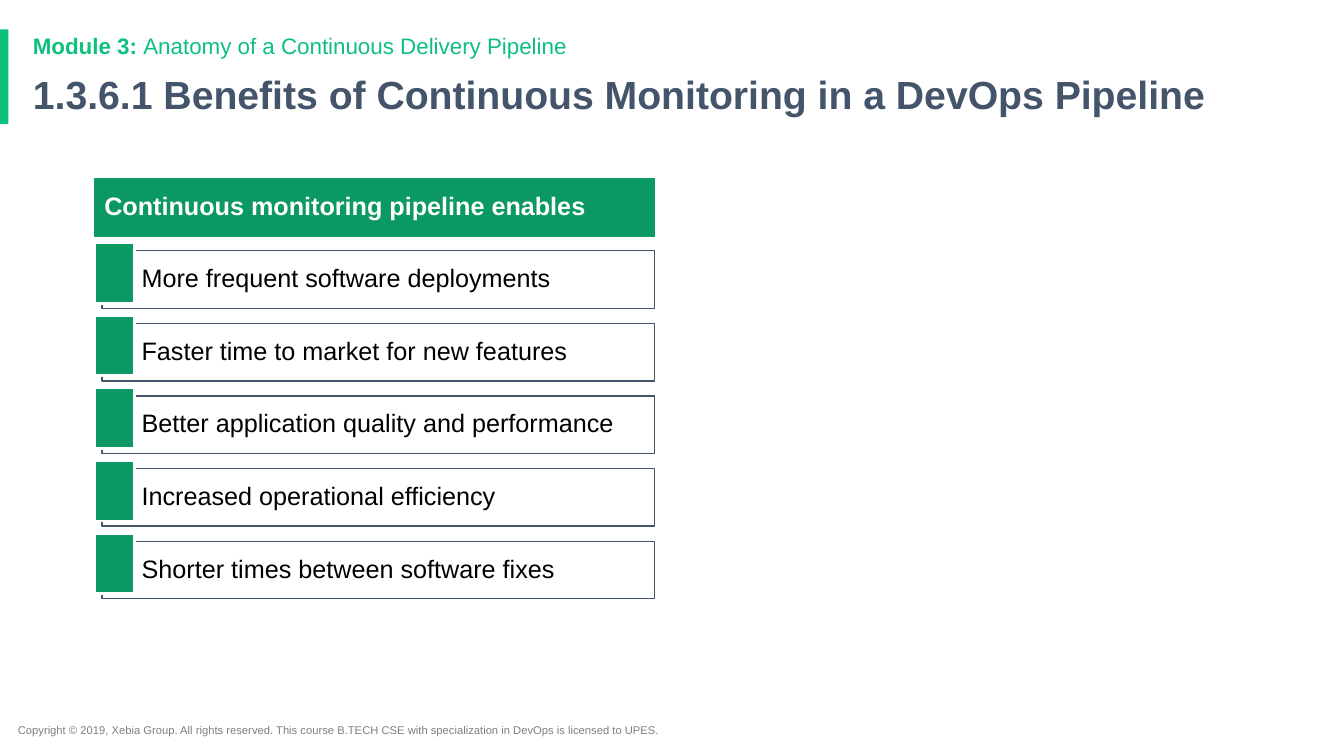
from lxml.etree import SubElement
from pptx import Presentation
from pptx.dml.color import RGBColor
from pptx.enum.shapes import MSO_SHAPE as Shape
from pptx.enum.text import MSO_ANCHOR as Anchor, PP_ALIGN as Align
from pptx.oxml.ns import qn
from pptx.util import Cm, Pt

MODULE = [("Module 3: ", True), ("Anatomy of a Continuous Delivery Pipeline", False)]
TITLE = [("1.3.6.1 Benefits of Continuous Monitoring in a DevOps Pipeline", True)]
HEADING = [("Continuous monitoring pipeline enables", True)]
BENEFITS = [
    "More frequent software deployments",
    "Faster time to market for new features",
    "Better application quality and performance",
    "Increased operational efficiency",
    "Shorter times between software fixes",
]
COPYRIGHT = [("Copyright © 2019, Xebia Group. All rights reserved. This course "
              "B.TECH CSE with specialization in DevOps is licensed to UPES.", False)]

FONT = "Arial"
MINT, GREEN, SLATE = "0EC07D", "0B9963", "44546A"
WHITE, BLACK, GREY = "FFFFFF", "000000", "7F7F7F"

LIST_LEFT, LIST_RIGHT, LIST_TOP = 2.38, 16.49, 4.5
BAR_HEIGHT, ROW_PITCH = 1.45, 1.83
ROW_LEFT, FIRST_ROW_TOP = 2.57, 6.32
MARKER_WIDTH, MARKER_HEIGHT, MARKER_RISE = 1.02, 1.52, 0.2


def color(value):
    return RGBColor.from_string(value)


def write(shape, runs, size, ink, spacing=0.9, left=0.25, right=0.25):
    frame = shape.text_frame
    frame.word_wrap = True
    frame.vertical_anchor = Anchor.MIDDLE
    frame.margin_left, frame.margin_right = Cm(left), Cm(right)
    frame.margin_top = frame.margin_bottom = Cm(0.13)
    para = frame.paragraphs[0]
    para.alignment = Align.LEFT
    para.line_spacing = spacing
    para.space_before = Pt(0)
    for text, bold in runs:
        span = para.add_run()
        span.text = text
        span.font.name, span.font.size, span.font.bold = FONT, Pt(size), bold
        span.font.color.rgb = color(ink)


def add_bar(page, left, top, width, height, fill, line=None, weight=1):
    bar = page.shapes.add_shape(Shape.RECTANGLE, Cm(left), Cm(top), Cm(width), Cm(height))
    bar.shadow.inherit = False
    bar.fill.solid()
    bar.fill.fore_color.rgb = color(fill)
    if line:
        bar.line.color.rgb = color(line)
        bar.line.width = Pt(weight)
    else:
        bar.line.fill.background()
    return bar


def add_label(page, left, top, width, height, runs, size, ink, spacing):
    box = page.shapes.add_textbox(Cm(left), Cm(top), Cm(width), Cm(height))
    write(box, runs, size, ink, spacing)


def set_opacity(shape, percent):
    fill_color = shape.fill._xPr.find(qn("a:solidFill"))[0]
    SubElement(fill_color, qn("a:alpha")).set("val", str(percent * 1000))


def add_benefit(page, text, top):
    row = add_bar(page, ROW_LEFT, top, LIST_RIGHT - ROW_LEFT, BAR_HEIGHT, WHITE, SLATE)
    set_opacity(row, 40)
    write(row, [(text, False)], 18, BLACK, left=1, right=0.13)
    add_bar(page, LIST_LEFT, top - MARKER_RISE, MARKER_WIDTH, MARKER_HEIGHT, GREEN, WHITE, 2)


def main():
    deck = Presentation()
    deck.slide_width, deck.slide_height = Cm(33.87), Cm(19.05)
    page = deck.slides.add_slide(deck.slide_layouts[5])

    add_bar(page, 0, 0.74, 0.21, 2.39, MINT)
    add_label(page, 0.2, 18.08, 18.11, 0.61, COPYRIGHT, 8, GREY, 1.0)
    add_label(page, 0.58, 0.76, 29.21, 0.84, MODULE, 16, MINT, 0.9)

    title = page.shapes.title
    title.left, title.top, title.width, title.height = Cm(0.58), Cm(1.75), Cm(30.78), Cm(1.37)
    write(title, TITLE, 28, SLATE)

    heading = add_bar(page, LIST_LEFT, LIST_TOP, LIST_RIGHT - LIST_LEFT, BAR_HEIGHT,
                      GREEN, GREEN, 0.75)
    write(heading, HEADING, 18, WHITE, right=0.13)
    for index, benefit in enumerate(BENEFITS):
        add_benefit(page, benefit, FIRST_ROW_TOP + index * ROW_PITCH)

    deck.save("out.pptx")


if __name__ == "__main__":
    main()
